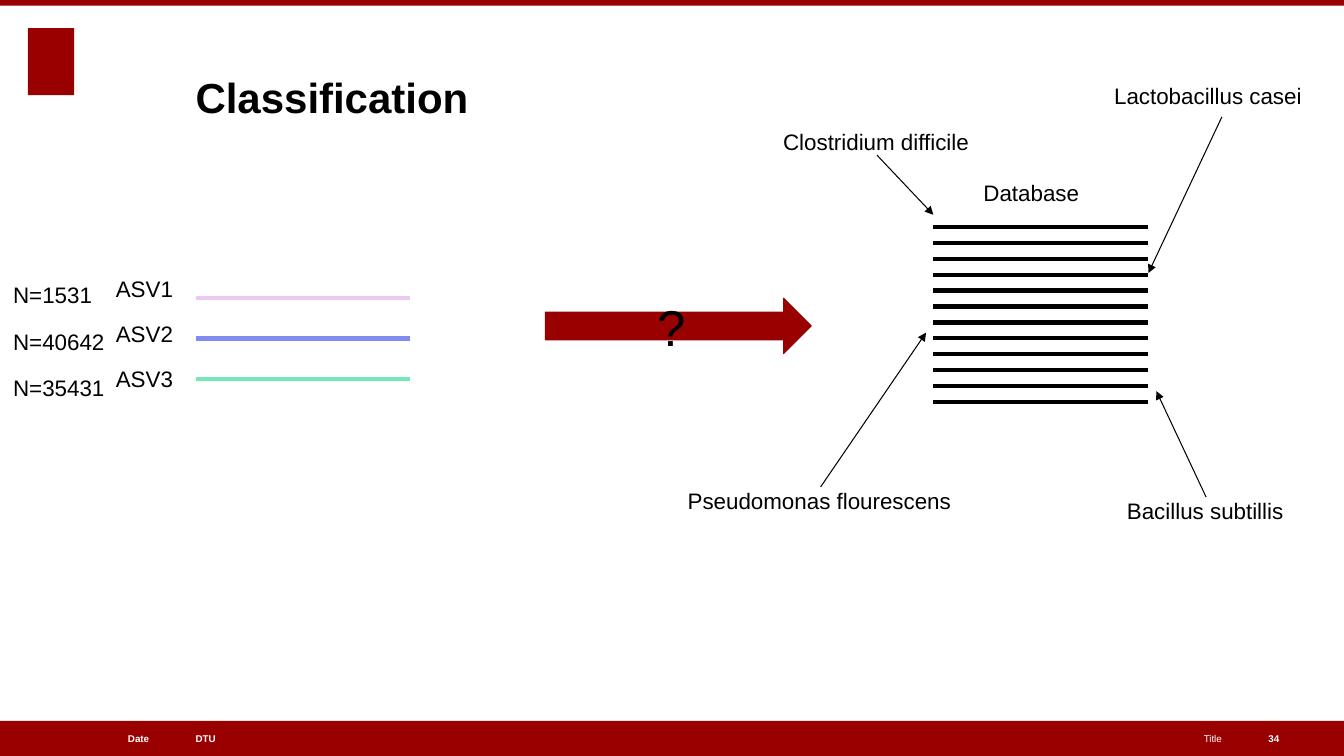
from lxml import etree
from pptx import Presentation
from pptx.dml.color import RGBColor
from pptx.enum.shapes import MSO_CONNECTOR, MSO_SHAPE
from pptx.enum.text import MSO_ANCHOR, MSO_AUTO_SIZE, PP_ALIGN
from pptx.oxml.ns import qn
from pptx.util import Pt

LEFT, MID, RIGHT = PP_ALIGN.LEFT, PP_ALIGN.CENTER, PP_ALIGN.RIGHT
TOP, CENTER = MSO_ANCHOR.TOP, MSO_ANCHOR.MIDDLE
GROW, FIXED = MSO_AUTO_SIZE.SHAPE_TO_FIT_TEXT, MSO_AUTO_SIZE.NONE
RECT, ARROW = MSO_SHAPE.RECTANGLE, MSO_SHAPE.RIGHT_ARROW
STRAIGHT = MSO_CONNECTOR.STRAIGHT
UP, DOWN = 0, 2
RED, BLACK, WHITE = "990000", "000000", "FFFFFF"


def color(code):
    return RGBColor.from_string(code)


class Deck:
    face = "Arial"
    gap = 4.3

    def __init__(self, slide):
        self.shapes = slide.shapes

    def fill_text(self, shape, text, size, ink=BLACK, bold=False, align=LEFT,
                  anchor=TOP, wrap=True, fit=FIXED, space=1):
        frame = shape.text_frame
        form = {"margin_left": 0, "margin_right": 0, "margin_top": 0,
                "margin_bottom": 0, "word_wrap": wrap, "auto_size": fit,
                "vertical_anchor": anchor}
        for key, value in form.items():
            setattr(frame, key, value)
        frame.text = text
        for i, para in enumerate(frame.paragraphs):
            para.alignment = align
            para.line_spacing = space
            para.space_before = Pt(self.gap if i else 0)
            for key, value in {"name": self.face, "size": Pt(size), "bold": bold}.items():
                setattr(para.font, key, value)
            para.font.color.rgb = color(ink)

    def text(self, box, text, size, **form):
        shape = self.shapes.add_textbox(*map(Pt, box))
        self.fill_text(shape, text, size, **form)
        return shape

    def label(self, box, text, **form):
        return self.text(box, text, 16, wrap=False, fit=GROW, **form)

    def block(self, kind, box, fill):
        shape = self.shapes.add_shape(kind, *map(Pt, box))
        shape.shadow.inherit = False
        shape.fill.solid()
        shape.fill.fore_color.rgb = color(fill)
        shape.line.fill.background()
        return shape

    def line(self, start, end, ink=BLACK, width=3.0):
        line = self.shapes.add_connector(STRAIGHT, *map(Pt, start + end))
        line.line.color.rgb = color(ink)
        line.line.width = Pt(width)
        etree.SubElement(line._element.spPr, qn("a:effectLst"))
        return line

    def point(self, start, end, source=None, side=None):
        line = self.line(start, end, width=0.75)
        if source is not None:
            line.begin_connect(source, side)
        stroke = line._element.spPr.find(qn("a:ln"))
        etree.SubElement(stroke, qn("a:tailEnd"), type="triangle")


def main():
    deck = Presentation()
    deck.slide_width, deck.slide_height = Pt(960), Pt(540)
    page = Deck(deck.slides.add_slide(deck.slide_layouts[6]))

    page.block(RECT, (20, 20, 33, 48), RED)
    page.block(RECT, (0, 515, 960, 25), RED)
    page.block(RECT, (0, 0, 960, 4), RED)
    for left, width, text, bold, align in (
        (139.7, 268, "DTU", True, LEFT),
        (19.5, 87, "Date", True, RIGHT),
        (440, 432.8, "Title", False, RIGHT),
        (906, 34, "34", True, LEFT),
    ):
        page.text((left, 515, width, 25), text, 7, ink=WHITE, bold=bold,
                  align=align, anchor=CENTER)
    page.text((139.7, 15, 656, 108), "Classification", 30, bold=True, anchor=CENTER)

    for i, ink in enumerate(("EACAF2", "828BF2", "71EAB5")):
        y = 213 + 28.8 * i
        page.line((139.7, y), (293, y), ink)
        page.label((82.8, 196.6 + 32 * i, 41, 19.4), f"ASV{i + 1}")
    page.label((9.4, 191.5, 66, 91.5), "N=1531\nN=40642\nN=35431", space=1.5)

    arrow = page.block(ARROW, (389.5, 213, 190, 39.6), RED)
    arrow.line.color.rgb = color(RED)
    arrow.line.width = Pt(0.75)
    page.fill_text(arrow, "?", 36, align=MID, anchor=CENTER)

    for i in range(12):
        y = 162 + 11.39 * i
        page.line((666.7, y), (820, y))
    page.text((702.5, 128.2, 102, 19.4), "Database", 16, fit=GROW)

    page.label((795.8, 59, 135.4, 19.4), "Lactobacillus casei")
    page.point((872.8, 83.5), (820.3, 195))
    for left, top, width, name, side, end in (
        (559.4, 91.4, 134, "Clostridium difficile", DOWN, (666.7, 153.4)),
        (491.2, 347.8, 190, "Pseudomonas flourescens", UP, (661.5, 237.6)),
        (805, 355, 113, "Bacillus subtillis", UP, (826, 279.4)),
    ):
        box = page.label((left, top, width, 19.4), name)
        start = (left + width / 2, top + (19.4 if side == DOWN else 0))
        page.point(start, end, box, side)

    deck.save("out.pptx")


if __name__ == "__main__":
    main()
